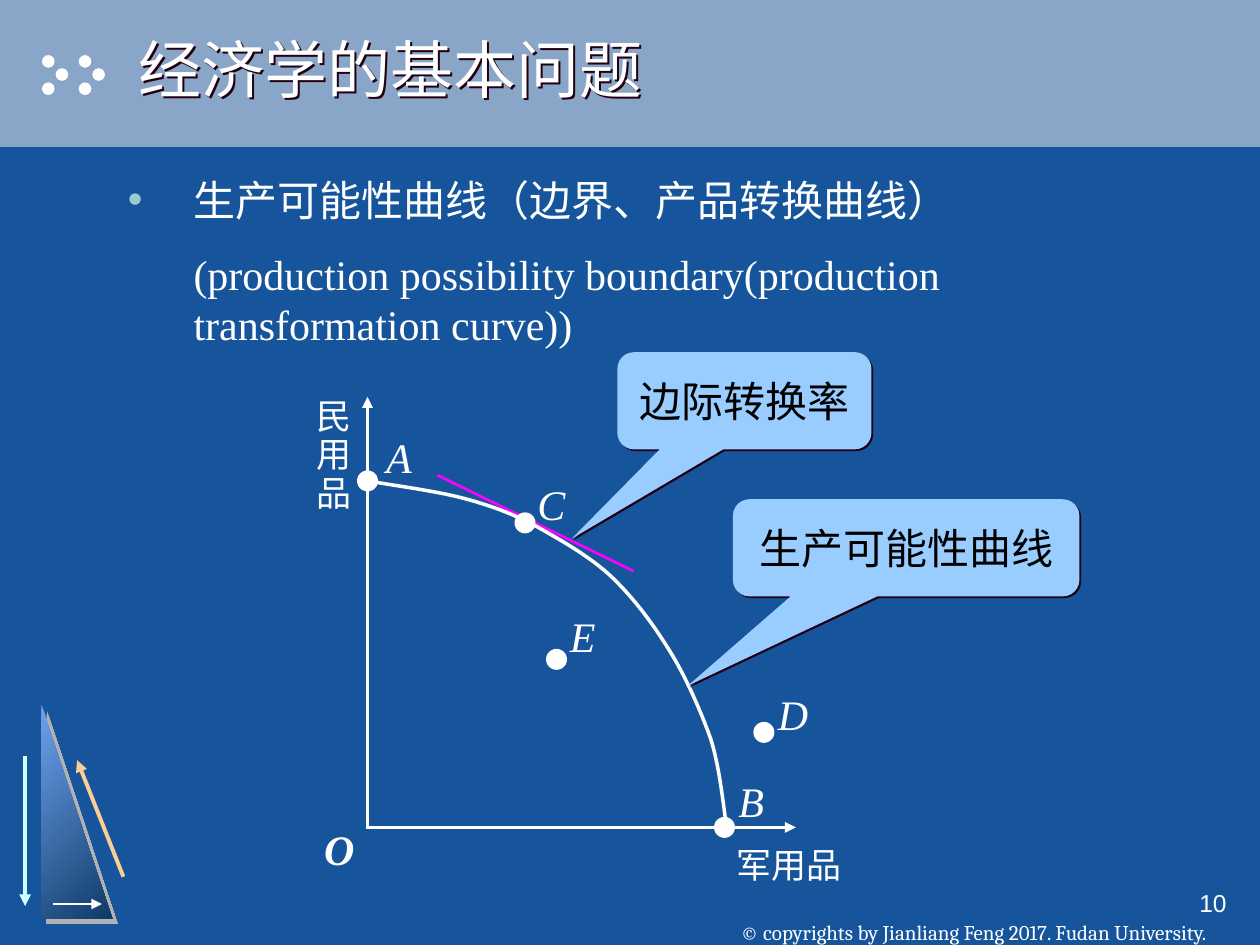
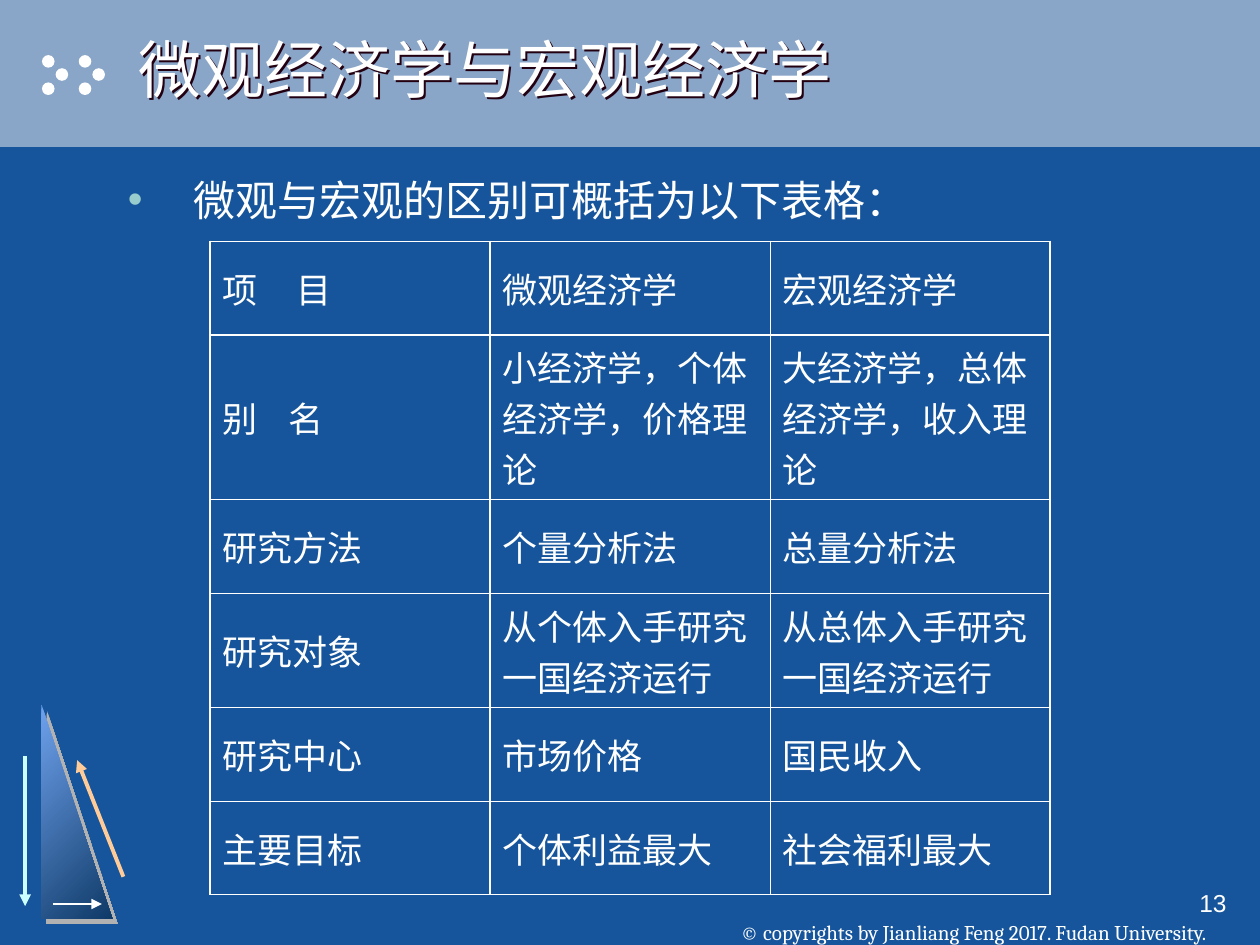
from dataclasses import dataclass

from lxml.etree import SubElement
from pptx import Presentation
from pptx.dml.color import RGBColor
from pptx.enum.shapes import MSO_CONNECTOR, MSO_SHAPE
from pptx.enum.text import MSO_ANCHOR, PP_ALIGN
from pptx.oxml.ns import qn
from pptx.util import Inches, Pt


@dataclass(frozen=True)
class Theme:
    """Colours, fonts and type sizes of the deck."""
    back: str = "16559B"
    band: str = "89A5C7"
    white: str = "FFFFFF"
    black: str = "000000"
    mint: str = "99CCCC"
    ice: str = "CCFFFF"
    peach: str = "FFCC99"
    pink: str = "FF00FF"
    sky: str = "99CCFF"
    dark: str = "220011"
    grey: str = "B2B2B2"
    ramp: tuple = ("6FA2ED", "0F3A68")
    sans: str = "Arial"
    serif: str = "Times New Roman"
    book: str = "Cambria"
    han: str = "Noto Sans CJK SC"
    head: int = 36
    body: int = 24
    cell: int = 20
    page: int = 14
    foot: int = 12


T = Theme()
COLS, ROWS = 120, 90
CURVE = [(35, 45.8), (36.5, 46.1), (41.2, 46.7), (43.9, 47.4), (46.6, 48.1),
         (48.8, 48.9), (51.2, 50.2), (53.5, 51.5), (56, 52.9), (58.1, 54.8),
         (60.2, 56.8), (61.9, 59), (63.6, 61.7), (65.2, 64.2), (66.7, 67.6),
         (67.7, 70.4), (68.6, 73.3), (68.9, 76.9), (69.2, 78.7)]
POINTS = [("B", 69, 78.8, 0.15, -6.5), ("A", 35, 45.8, 0.6, -6.25),
          ("C", 50, 49.8, 0, -5.8), ("D", 72.75, 69.75, 0.15, -5.75),
          ("E", 53, 62.8, 0.1, -6.2)]
ITEMS = [("项\t目", "微观经济学", "宏观经济学"),
         ("别\t名", "小经济学，个体经济学，价格理论", "大经济学，总体经济学，收入理论"),
         ("研究方法", "个量分析法", "总量分析法"),
         ("研究对象", "从个体入手研究一国经济运行", "从总体入手研究一国经济运行"),
         ("研究中心", "市场价格", "国民收入"),
         ("主要目标", "个体利益最大", "社会福利最大")]
HEIGHTS = (8.9, 15.7, 8.9, 10.9, 8.9, 8.9)
TABS = (7, 6.3)


def unit(*cells):
    """Turn grid cells into lengths."""
    return [Inches(c / 12) for c in cells]


def rgb(code):
    """Read a colour code."""
    return RGBColor.from_string(code)


def put(item, **vals):
    """Set each value on an object."""
    for key, val in vals.items():
        setattr(item, key, val)


def node(root, tag, **vals):
    """Add an XML child with its attributes."""
    return SubElement(root, qn(tag), {k: str(v) for k, v in vals.items()})


def tint(root, code):
    """Add a solid fill to an XML element."""
    node(node(root, "a:solidFill"), "a:srgbClr", val=code)


def shade(shape, code, dist):
    """Cast a hard shadow down to the right."""
    shape.shadow.inherit = False
    root = shape._element.spPr.find(qn("a:effectLst"))
    cast = node(root, "a:outerShdw", dist=Pt(dist), dir=45 * 60000,
                algn="ctr", rotWithShape=0)
    node(cast, "a:srgbClr", val=code)


def write(para, words, size=T.body, face=T.sans, code=T.white, **style):
    """Write one run of text in a paragraph."""
    run = para.add_run()
    run.text = words
    put(run.font, size=Pt(size), name=face, **style)
    run.font.color.rgb = rgb(code)
    node(run._r.get_or_add_rPr(), "a:ea", typeface=T.han)


def box(slide, cells, lines, gap=0, lead=None, align=PP_ALIGN.LEFT,
        anchor=MSO_ANCHOR.TOP, wrap=True, **style):
    """Place a text box with one paragraph a line."""
    shape = slide.shapes.add_textbox(*unit(*cells))
    frame = shape.text_frame
    put(frame, word_wrap=wrap, vertical_anchor=anchor)
    for num, words in enumerate(lines):
        para = frame.paragraphs[0] if num == 0 else frame.add_paragraph()
        put(para, alignment=align, line_spacing=lead)
        if num:
            para.space_before = Pt(gap)
        write(para, words, **style)
    return shape


def form(slide, kind, cells, code):
    """Place a filled shape with no outline."""
    shape = slide.shapes.add_shape(kind, *unit(*cells))
    shape.shadow.inherit = False
    shape.fill.solid()
    shape.fill.fore_color.rgb = rgb(code)
    shape.line.fill.background()
    return shape


def line(slide, ends, code, width, arrow=True):
    """Draw a straight line, with an arrowhead at its end if asked."""
    link = slide.shapes.add_connector(MSO_CONNECTOR.STRAIGHT, *unit(*ends))
    link.line.color.rgb = rgb(code)
    link.line.width = Pt(width)
    props = link._element.spPr
    if arrow:
        node(props.find(qn("a:ln")), "a:tailEnd", type="triangle")
    node(props, "a:effectLst")


def badge(slide):
    """Draw the corner triangle with its three arrows."""
    wedge = form(slide, MSO_SHAPE.RIGHT_TRIANGLE, (3.95, 67.1, 6.75, 20.4), T.band)
    wedge.fill.gradient()
    wedge.fill.gradient_angle = 315
    for stop, code, spot in zip(wedge.fill.gradient_stops, T.ramp, (0, 1)):
        stop.color.rgb = rgb(code)
        stop.position = spot
    shade(wedge, T.grey, 4.2)
    line(slide, (2.4, 72, 2.4, 86.3), T.ice, 2.25)
    line(slide, (11.75, 83.5, 7.35, 72.4), T.peach, 2.25)
    line(slide, (5.05, 86.1, 9.7, 86.1), T.white, 1.6)


def base(deck, title, page):
    """Start a slide with band, dots, badge, footer and title."""
    slide = deck.slides.add_slide(deck.slide_layouts[6])
    fill = slide.background.fill
    fill.solid()
    fill.fore_color.rgb = rgb(T.back)
    form(slide, MSO_SHAPE.RECTANGLE, (0, 0, COLS, 14), T.band)
    for left in (4, 7.5):
        for step, top in ((0, 5.25), (1.3, 6.5), (0, 7.85)):
            form(slide, MSO_SHAPE.OVAL, (left + step, top, 1.2, 1.2), T.white)
    badge(slide)
    foot = box(slide, (65.25, 84, 55, 6),
               ["© copyrights by Jianliang Feng 2017. Fudan University."],
               align=PP_ALIGN.CENTER, anchor=MSO_ANCHOR.BOTTOM, wrap=False,
               size=T.foot, face=T.book)
    put(foot.text_frame, margin_top=0, margin_bottom=0)
    box(slide, (93, 84, 25, 6), [page], align=PP_ALIGN.RIGHT, size=T.page)
    head = box(slide, (12, 0, 108, 13), [title], anchor=MSO_ANCHOR.MIDDLE,
               size=T.head)
    shade(head, T.dark, 1.4)
    return slide


def point(slide, words, more=None):
    """Write the bullet point and the line below it."""
    frame = box(slide, (11, 16, 98, 60), [words]).text_frame
    para = frame.paragraphs[0]
    props = para._p.get_or_add_pPr()
    inset = unit(6.25)[0]
    props.set("marL", str(inset))
    props.set("indent", str(-inset))
    node(node(props, "a:buClr"), "a:srgbClr", val=T.mint)
    node(props, "a:buFont", typeface=T.sans)
    node(props, "a:buChar", char="•")
    if more:
        para = frame.add_paragraph()
        para._p.get_or_add_pPr().set("marL", str(inset))
        para.space_before = Pt(13.5)
        write(para, more, face=T.serif)


def bend(knots, steps=12):
    """Trace joined cubic curves as a list of spots."""
    spots = [knots[0]]
    for num in range(0, len(knots) - 1, 3):
        quad = knots[num:num + 4]
        for step in range(1, steps + 1):
            t = step / steps
            mix = ((1 - t) ** 3, 3 * t * (1 - t) ** 2, 3 * t * t * (1 - t), t ** 3)
            spots.append(tuple(sum(m * k[axis] for m, k in zip(mix, quad))
                               for axis in (0, 1)))
    return spots


def curve(slide, knots):
    """Draw a smooth open curve."""
    spots = [unit(*spot) for spot in bend(knots)]
    maker = slide.shapes.build_freeform(*spots[0])
    maker.add_line_segments(spots[1:], close=False)
    shape = maker.convert_to_shape()
    shape.shadow.inherit = False
    shape.fill.background()
    shape.line.color.rgb = rgb(T.white)
    shape.line.width = Pt(2)


def dot(slide, name, left, top, right, down):
    """Mark a named spot on the graph."""
    form(slide, MSO_SHAPE.OVAL, (left - 1, top - 1, 2, 2), T.white)
    box(slide, (left + right, top + down, 5, 7), [name], lead=1.2,
        face=T.serif, italic=True)


def call(slide, cells, words, tip):
    """Place a callout that points at the curve."""
    shape = form(slide, MSO_SHAPE.ROUNDED_RECTANGULAR_CALLOUT, cells, T.sky)
    for num, val in enumerate((tip, 1.42, 0.17)):
        shape.adjustments[num] = val
    shade(shape, T.dark, 1.4)
    put(shape.text_frame, word_wrap=True, vertical_anchor=MSO_ANCHOR.MIDDLE)
    para = shape.text_frame.paragraphs[0]
    para.alignment = PP_ALIGN.CENTER
    write(para, words, face=T.serif, code=T.black)


def graph(slide):
    """Draw the axes, the curve, its tangent and the marked spots."""
    line(slide, (41.65, 45.25, 60.35, 54.4), T.pink, 1.5, arrow=False)
    line(slide, (35, 78.8, 35, 37.8), T.white, 2.1)
    line(slide, (34.85, 78.8, 75.8, 78.8), T.white, 2.1)
    box(slide, (29.7, 76.9, 5.3, 7), ["O"], lead=1.2, face=T.serif,
        bold=True, italic=True)
    han = dict(size=T.cell, face=T.han)
    box(slide, (69, 78.9, 13, 6), ["军用品"], lead=1.2, **han)
    box(slide, (29, 39, 6, 10.2), "民用品", gap=12.5, lead=0.4, **han)
    curve(slide, CURVE)
    for spot in POINTS:
        dot(slide, *spot)
    call(slide, (69.8, 47.55, 33, 9.25), "生产可能性曲线", -0.63)
    call(slide, (58.8, 33.55, 24.2, 9.25), "边际转换率", -0.68)


def edge(cell, row, col):
    """Rule a cell, thick round the frame, header and first column."""
    props = cell._tc.get_or_add_tcPr()
    thick = {"L": col != 2, "R": col != 1,
             "T": row < 2, "B": row in (0, len(ITEMS) - 1)}
    for side, bold in thick.items():
        rule = node(props, "a:ln" + side, w=Pt(1.08 if bold else 0.45))
        tint(rule, T.white)


def grid(slide):
    """Place the table of differences."""
    cells = unit(20, 23, 80, sum(HEIGHTS))
    table = slide.shapes.add_table(len(ITEMS), 3, *cells).table
    put(table, first_row=False, horz_banding=False)
    for col in table.columns:
        col.width = unit(80 / 3)[0]
    for row, words in enumerate(ITEMS):
        table.rows[row].height = unit(HEIGHTS[row])[0]
        for col, word in enumerate(words):
            cell = table.cell(row, col)
            edge(cell, row, col)
            cell.fill.background()
            cell.vertical_anchor = MSO_ANCHOR.MIDDLE
            para = cell.text_frame.paragraphs[0]
            if "\t" in word:
                stops = node(para._p.get_or_add_pPr(), "a:tabLst")
                node(stops, "a:tab", pos=unit(TABS[row])[0], algn="l")
            write(para, word, size=T.cell)


def main():
    """Build both slides and save the deck."""
    deck = Presentation()
    put(deck, slide_width=unit(COLS)[0], slide_height=unit(ROWS)[0])
    slide = base(deck, "经济学的基本问题", "10")
    point(slide, "生产可能性曲线（边界、产品转换曲线）",
          "(production possibility boundary(production transformation curve))")
    graph(slide)
    slide = base(deck, "微观经济学与宏观经济学", "13")
    point(slide, "微观与宏观的区别可概括为以下表格：")
    grid(slide)
    deck.save("out.pptx")


if __name__ == "__main__":
    main()
